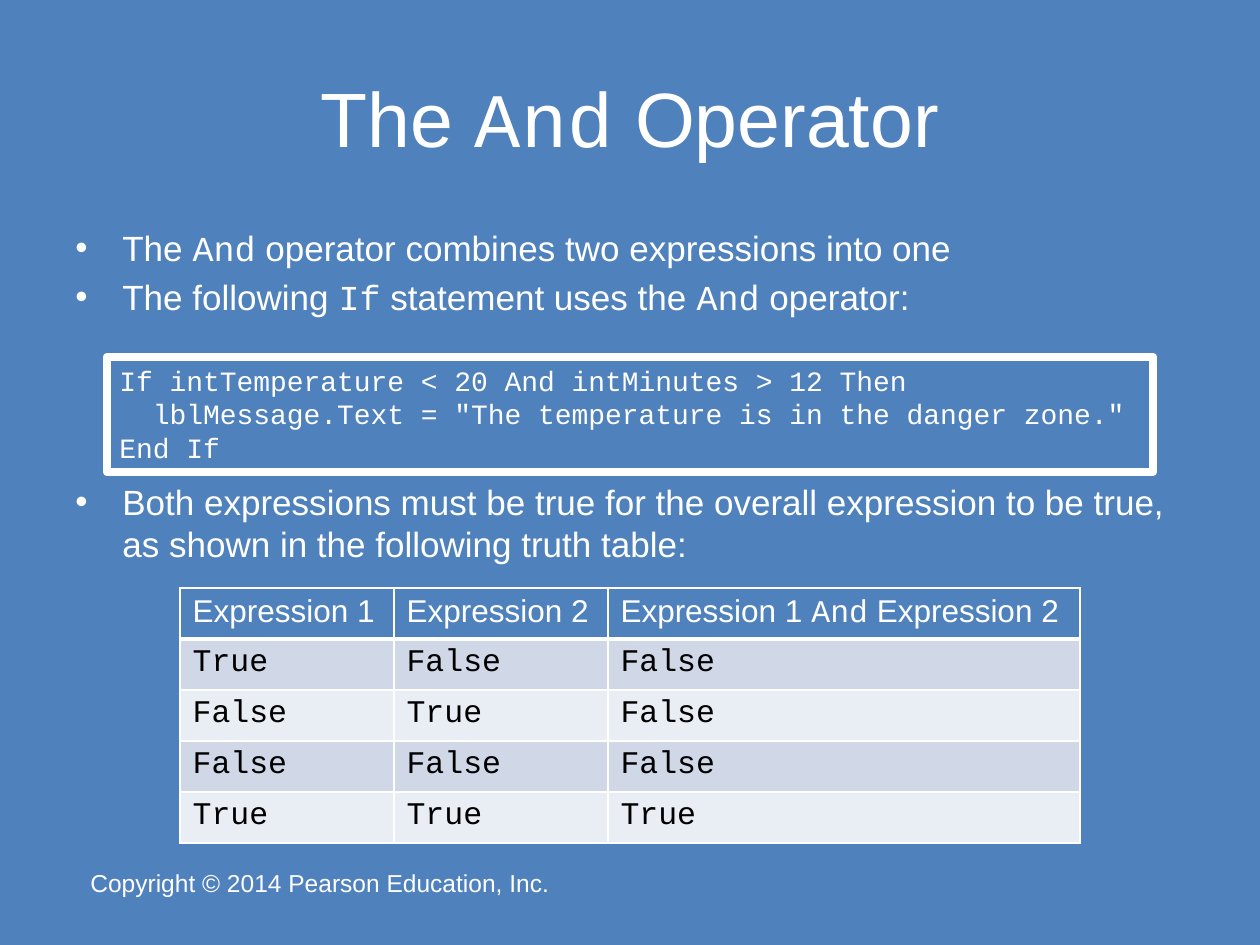
from dataclasses import dataclass

from pptx import Presentation
from pptx import util as u
from pptx.dml import color
from pptx.enum import shapes, text
from pptx.oxml import ns, xmlchemy

SCALE = 914400 / 126


@dataclass(frozen=True)
class Theme:
    """Colours, fonts and type sizes of the deck."""
    bg: str = "4F81BD"
    light: str = "FFFFFF"
    dark: str = "000000"
    bands: tuple = ("D0D8E8", "E9EDF4")
    sans: str = "Arial"
    mono: str = "Courier New"
    title: int = 44
    body: int = 20
    cell: int = 18
    code: int = 16
    footer: int = 14


T = Theme()


def px(n):
    """Turn px into EMU."""
    return u.Emu(round(n * SCALE))


def rgb(value):
    """Turn a hex string into a colour."""
    return color.RGBColor.from_string(value)


def child(parent, tag, **attrs):
    """Append an XML element with attributes to its parent."""
    el = xmlchemy.OxmlElement(tag)
    for name, value in attrs.items():
        el.set(name, str(value))
    parent.append(el)
    return el


def add_paragraph(tf, content, size, font=T.sans, fill=T.light,
                  align=None, before=0, bullet=0):
    """Add a paragraph whose backquoted parts are monospaced."""
    p = tf.paragraphs[0]
    if p.runs:
        p = tf.add_paragraph()
    if align is not None:
        p.alignment = align
    if before:
        p.space_before = px(before)
    if bullet:
        pPr = p._p.get_or_add_pPr()
        pPr.set("marL", str(px(bullet)))
        pPr.set("indent", str(-px(bullet)))
        child(pPr, "a:buFont", typeface=T.sans)
        child(pPr, "a:buChar", char="•")
    for i, part in enumerate(content.split("`")):
        if part:
            r = p.add_run()
            r.text = part
            r.font.name = T.mono if i % 2 else font
            r.font.size = u.Pt(size)
            r.font.color.rgb = rgb(fill)
    return p


def add_box(s, box, anchor=text.MSO_ANCHOR.TOP, wrap=True):
    """Add an empty text box and return its text frame."""
    tf = s.shapes.add_textbox(*map(px, box)).text_frame
    tf.word_wrap = wrap
    tf.vertical_anchor = anchor
    return tf


def add_line(s, box, content, size):
    """Place one line of text in the centre of the box."""
    tf = add_box(s, box, text.MSO_ANCHOR.MIDDLE)
    add_paragraph(tf, content, size, align=text.PP_ALIGN.CENTER)


def add_bullets(s, box, items):
    """Place bullets given as pairs of space before and text."""
    tf = add_box(s, box)
    for before, content in items:
        add_paragraph(tf, content, T.body, before=before, bullet=47)


def add_code(s, box, lines):
    """Place a framed code listing."""
    tf = add_box(s, box, wrap=False)
    for line in lines:
        add_paragraph(tf, line, T.code, font=T.mono)
    sp = s.shapes.add_shape(shapes.MSO_SHAPE.RECTANGLE, *map(px, box))
    sp.shadow.inherit = False
    sp.fill.background()
    sp.line.color.rgb = rgb(T.light)
    sp.line.width = u.Pt(5)


def set_borders(cell, bottom):
    """Give a cell white borders with its own bottom width."""
    tcPr = cell._tc.get_or_add_tcPr()
    for side, width in zip("LRTB", (1, 1, 1, bottom)):
        ln = child(tcPr, f"a:ln{side}", w=u.Pt(width))
        child(child(ln, "a:solidFill"), "a:srgbClr", val=T.light)


def add_truth_table(s, box, widths, rows):
    """Place the truth table with a header row and banded values."""
    frame = s.shapes.add_table(len(rows), len(widths), *map(px, box))
    table = frame.table
    table.first_row = table.horz_banding = False
    for col, width in zip(table.columns, widths):
        col.width = px(width)
    for i, row in enumerate(rows):
        table.rows[i].height = px(box[3] / len(rows))
        for j, content in enumerate(row):
            cell = table.cell(i, j)
            set_borders(cell, 1 if i else 3)
            cell.fill.solid()
            cell.fill.fore_color.rgb = rgb(T.bands[(i - 1) % 2] if i else T.bg)
            add_paragraph(cell.text_frame, content, T.cell,
                          font=T.mono if i else T.sans,
                          fill=T.dark if i else T.light)


def main():
    """Build the slide and save it."""
    prs = Presentation()
    prs.slide_width, prs.slide_height = px(1260), px(945)
    s = prs.slides.add_slide(prs.slide_layouts[6])
    s.background.fill.solid()
    s.background.fill.fore_color.rgb = rgb(T.bg)

    add_line(s, (63, 861, 514, 44), "Copyright © 2014 Pearson Education, Inc.", T.footer)
    add_line(s, (63, 38, 1134, 157), "The `And` Operator", T.title)
    add_bullets(s, (63, 220, 1134, 624), [
        (0, "The `And` operator combines two expressions into one"),
        (7, "The following `If` statement uses the `And` operator:"),
        (163, "Both expressions must be true for the overall expression "
              "to be true, as shown in the following truth table:"),
    ])
    add_code(s, (107, 357, 1046, 115), [
        "If intTemperature < 20 And intMinutes > 12 Then",
        '  lblMessage.Text = "The temperature is in the danger zone."',
        "End If",
    ])
    add_truth_table(s, (180, 588, 900, 255), (214, 214, 472), [
        ("Expression 1", "Expression 2", "Expression 1 `And` Expression 2"),
        ("True", "False", "False"),
        ("False", "True", "False"),
        ("False", "False", "False"),
        ("True", "True", "True"),
    ])
    prs.save("out.pptx")


if __name__ == "__main__":
    main()
